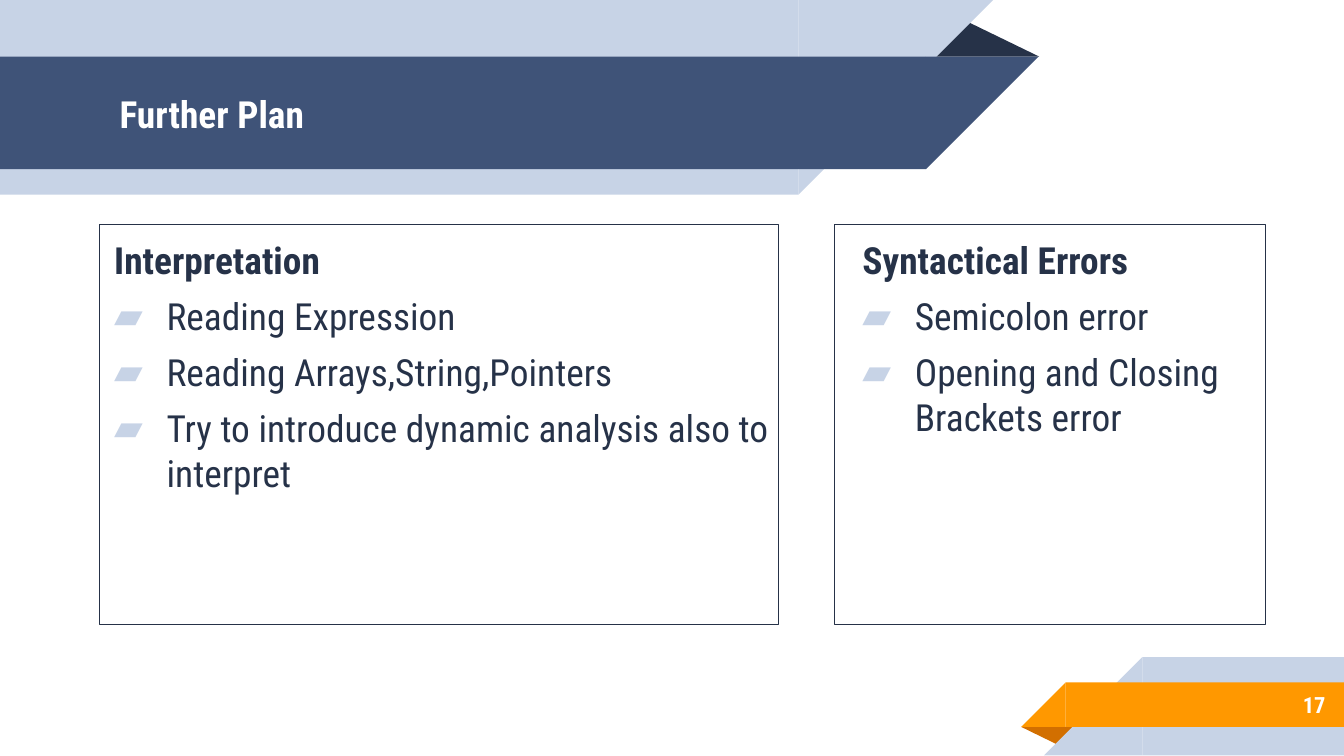
from lxml.etree import SubElement
from pptx import Presentation
from pptx.dml.color import RGBColor as Rgb
from pptx.enum.shapes import MSO_SHAPE as Preset
from pptx.enum.text import MSO_ANCHOR as Anchor, PP_ALIGN as Align
from pptx.oxml.ns import qn
from pptx.util import Cm, Pt

THEME = {
    "font": "Roboto Condensed",
    "ink": "263248", "navy": "3F5378", "pale": "C7D3E6",
    "orange": "FF9800", "rust": "D26F00", "white": "FFFFFF",
    "large": 20, "small": 12,
}

deck = Presentation()
deck.slide_width, deck.slide_height = Cm(25.4), Cm(14.29)
page = deck.slides.add_slide(deck.slide_layouts[6])


def add_block(preset, color, left, top, width, height, rotation=0):
    block = page.shapes.add_shape(preset, Cm(left), Cm(top), Cm(width), Cm(height))
    block.shadow.inherit = False
    block.fill.solid()
    block.fill.fore_color.rgb = Rgb.from_string(THEME[color])
    block.line.fill.background()
    block.rotation = rotation
    return block


def write(frame, text, color="ink", size="large", bold=False, bullet=False,
          indent=0, before=0, align=Align.LEFT):
    para = frame.paragraphs[0]
    if para.runs:
        para = frame.add_paragraph()
    para.alignment = align
    para.space_before = Pt(before)
    span = para.add_run()
    span.text = text
    span.font.name = THEME["font"]
    span.font.size = Pt(THEME[size])
    span.font.bold = bold
    span.font.color.rgb = Rgb.from_string(THEME[color])
    props = para._p.get_or_add_pPr()
    props.set("marL", str(Cm(indent)))
    if bullet:
        props.set("marL", str(Cm(1.27)))
        props.set("indent", str(Cm(-0.99)))
        bullet_color = SubElement(props, qn("a:buClr"))
        SubElement(bullet_color, qn("a:srgbClr"), val=THEME["pale"])
        SubElement(props, qn("a:buFont"), typeface=THEME["font"])
        SubElement(props, qn("a:buChar"), char="▰")


folds = [("ink", 17.48, 0.36, 2.16, 0.71, 0), ("rust", 19.3, 13.74, 1.09, 0.36, 180)]
for color, left, top, width, height, rotation in folds:
    fold = add_block(Preset.ISOSCELES_TRIANGLE, color, left, top, width, height, rotation)
    fold.adjustments[0] = 0.324

ribbons = [
    ("pale", 0, 0, 15.09, 3.68),
    ("navy", 0, 1.07, 17.5, 2.13),
    ("pale", 21.59, 12.42, 3.81, 1.86),
    ("orange", 20.14, 12.9, 5.26, 0.84),
]
for color, left, top, width, height in ribbons:
    add_block(Preset.RECTANGLE, color, left, top, width, height)
    tip_left, rotation = (left - height, 270) if left else (width, 90)
    add_block(Preset.RIGHT_TRIANGLE, color, tip_left, top, height, height, rotation)

labels = [
    ("Further Plan", "large", Align.LEFT, 0, 2.26, 1.09, 14.6, 2.13),
    ("17", "small", Align.RIGHT, 0.25, 21.16, 12.88, 4.14, 0.86),
]
for text, size, align, inset, left, top, width, height in labels:
    box = page.shapes.add_textbox(Cm(left), Cm(top), Cm(width), Cm(height))
    frame = box.text_frame
    frame.word_wrap = True
    frame.vertical_anchor = Anchor.MIDDLE
    frame.margin_left = frame.margin_right = Cm(inset)
    frame.margin_top = frame.margin_bottom = Cm(0.25)
    write(frame, text, color="white", size=size, bold=True, align=align)

panels = [
    (1.88, 12.83, 0, "Interpretation", [
        "Reading Expression",
        "Reading Arrays,String,Pointers",
        "Try to introduce dynamic analysis also to interpret",
    ]),
    (15.77, 8.15, 0.25, "Syntactical Errors", [
        "Semicolon error",
        "Opening and Closing Brackets error",
    ]),
]
for left, width, inset, heading, points in panels:
    panel = add_block(Preset.RECTANGLE, "white", left, 4.24, width, 7.57)
    panel.fill.background()
    panel.line.color.rgb = Rgb.from_string(THEME["ink"])
    panel.line.width = Pt(0.5)
    frame = panel.text_frame
    frame.word_wrap = True
    frame.vertical_anchor = Anchor.TOP
    frame.margin_left = frame.margin_right = Cm(inset)
    frame.margin_top = frame.margin_bottom = Cm(0.25)
    write(frame, heading, bold=True, indent=0.28, before=6)
    for point in points:
        write(frame, point, bullet=True, before=6)

deck.save("out.pptx")
